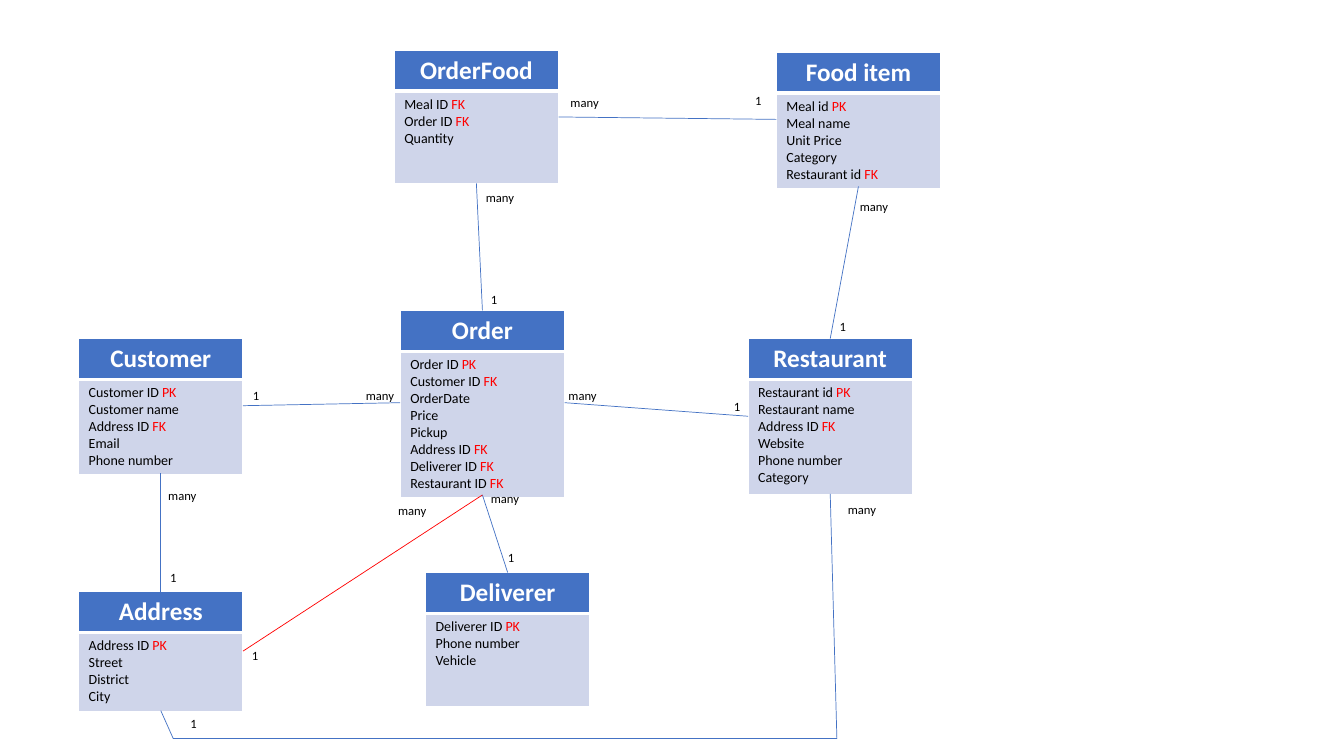
from lxml import etree
from pptx import Presentation
from pptx.dml.color import RGBColor
from pptx.enum.shapes import MSO_CONNECTOR
from pptx.enum.text import PP_ALIGN
from pptx.oxml.ns import qn
from pptx.util import Inches, Pt

STRAIGHT = MSO_CONNECTOR.STRAIGHT
CENTER = PP_ALIGN.CENTER
FONT = "Calibri"
BLUE, PALE, RED, BLACK, WHITE = "4472C4", "CFD5EA", "FF0000", "000000", "FFFFFF"

deck = Presentation()
deck.slide_width, deck.slide_height = Inches(13.33), Inches(7.5)
COLUMN, ROW = deck.slide_width / 100, deck.slide_height / 100
BLANK_LAYOUT = 6
slide = deck.slides.add_slide(deck.slide_layouts[BLANK_LAYOUT])

ENTITY_WIDTH, HEADER_HEIGHT = 12.23, 5.33
LABEL_HEIGHT = 3.33
LABEL_WIDTHS = {"1": 2.25, "many": 3.83}

# Name: left column, top row, height in rows, fields
ENTITIES = {
    "Customer": (5.85, 44.8, 17.73, [
        "Customer ID PK", "Customer name", "Address ID FK", "Email", "Phone number"]),
    "Order": (29.78, 41.07, 24.4, [
        "Order ID PK", "Customer ID FK", "OrderDate", "Price", "Pickup",
        "Address ID FK", "Deliverer ID FK", "Restaurant ID FK"]),
    "Deliverer": (31.66, 75.73, 17.6, ["Deliverer ID PK", "Phone number", "Vehicle"]),
    "Restaurant": (55.66, 44.8, 20.53, [
        "Restaurant id PK", "Restaurant name", "Address ID FK", "Website",
        "Phone number", "Category"]),
    "Address": (5.85, 78.27, 15.73, ["Address ID PK", "Street", "District", "City"]),
    "OrderFood": (29.33, 6.67, 17.6, ["Meal ID FK", "Order ID FK", "Quantity"]),
    "Food item": (57.76, 6.93, 17.73, [
        "Meal id PK", "Meal name", "Unit Price", "Category", "Restaurant id FK"]),
}

# Each end is an entity and one of its sides, or a bend at a column and row
LOWER_LEFT_BEND, LOWER_RIGHT_BEND = (12.9, 97.73), (62.27, 97.73)
RELATIONS = [
    (("Customer", "right"), ("Order", "left"), BLUE),
    (("Deliverer", "top"), ("Order", "bottom"), BLUE),
    (("Order", "right"), ("Restaurant", "left"), BLUE),
    (("Address", "right"), ("Order", "bottom"), RED),
    (("Address", "top"), ("Customer", "bottom"), BLUE),
    (LOWER_RIGHT_BEND, ("Restaurant", "bottom"), BLUE),
    (LOWER_LEFT_BEND, LOWER_RIGHT_BEND, BLUE),
    (LOWER_LEFT_BEND, ("Address", "bottom"), BLUE),
    (("OrderFood", "bottom"), ("Order", "top"), BLUE),
    (("Food item", "left"), ("OrderFood", "right"), BLUE),
    (("Food item", "bottom"), ("Restaurant", "top"), BLUE),
]

CARDINALITIES = {
    "1": [(18.08, 50.67), (37.06, 72.13), (53.86, 52.13), (11.93, 74.67), (18, 85.07),
          (13.43, 94), (35.78, 38), (55.44, 11.6), (61.74, 41.47)],
    "many": [(26.48, 50.67), (35.78, 64.27), (41.56, 50.67), (11.78, 63.87),
             (28.88, 65.87), (62.34, 65.73), (35.41, 24.53), (41.71, 11.87),
             (63.24, 25.6)],
}


def style_run(run, size, color, bold=False):
    """Give a run its font, size, hex colour and weight."""
    run.font.name, run.font.size, run.font.bold = FONT, Pt(size), bold
    run.font.color.rgb = RGBColor.from_string(color)


def style_cell(cell, fill, widths):
    """Fill a cell and draw white borders of the given point widths per side."""
    properties = cell._tc.get_or_add_tcPr()
    for side, width in zip("LRTB", widths):
        border = etree.SubElement(properties, qn(f"a:ln{side}"), w=str(Pt(width)))
        border_fill = etree.SubElement(border, qn("a:solidFill"))
        etree.SubElement(border_fill, qn("a:srgbClr"), val=WHITE)
    cell.fill.solid()
    cell.fill.fore_color.rgb = RGBColor.from_string(fill)


# Entities
anchors = {}
for name, (left, top, height, fields) in ENTITIES.items():
    middle_x, middle_y = left + ENTITY_WIDTH / 2, top + height / 2
    anchors[name, "left"] = (left, middle_y)
    anchors[name, "right"] = (left + ENTITY_WIDTH, middle_y)
    anchors[name, "top"] = (middle_x, top)
    anchors[name, "bottom"] = (middle_x, top + height)

    entity = slide.shapes.add_table(
        2, 1, int(left * COLUMN), int(top * ROW),
        int(ENTITY_WIDTH * COLUMN), int(height * ROW)).table
    entity.rows[0].height = int(HEADER_HEIGHT * ROW)
    entity.rows[1].height = int((height - HEADER_HEIGHT) * ROW)
    header, body = entity.cell(0, 0), entity.cell(1, 0)
    style_cell(header, BLUE, (1, 1, 1, 3))
    style_cell(body, PALE, (1, 1, 3, 1))

    header.text_frame.text = name
    heading = header.text_frame.paragraphs[0]
    heading.alignment = CENTER
    style_run(heading.runs[0], 18, WHITE, bold=True)

    body.text_frame.text = "\n".join(fields)
    for line in body.text_frame.paragraphs:
        field = line.text
        key = field[-2:] if field.endswith((" PK", " FK")) else ""
        line.text = field.removesuffix(key)
        style_run(line.runs[0], 10, BLACK)
        if key:
            key_run = line.add_run()
            key_run.text = key
            style_run(key_run, 10, RED)

# Relations
for start, end, color in RELATIONS:
    (x1, y1), (x2, y2) = anchors.get(start, start), anchors.get(end, end)
    relation = slide.shapes.add_connector(
        STRAIGHT, int(x1 * COLUMN), int(y1 * ROW), int(x2 * COLUMN), int(y2 * ROW))
    relation.line.color.rgb = RGBColor.from_string(color)
    relation.line.width = Pt(0.5)
    etree.SubElement(relation._element.spPr, qn("a:effectLst"))

# Cardinalities
for cardinality, places in CARDINALITIES.items():
    for left, top in places:
        label = slide.shapes.add_textbox(
            int(left * COLUMN), int(top * ROW),
            int(LABEL_WIDTHS[cardinality] * COLUMN), int(LABEL_HEIGHT * ROW))
        label.text_frame.text = cardinality
        style_run(label.text_frame.paragraphs[0].runs[0], 9, BLACK)

deck.save("out.pptx")
